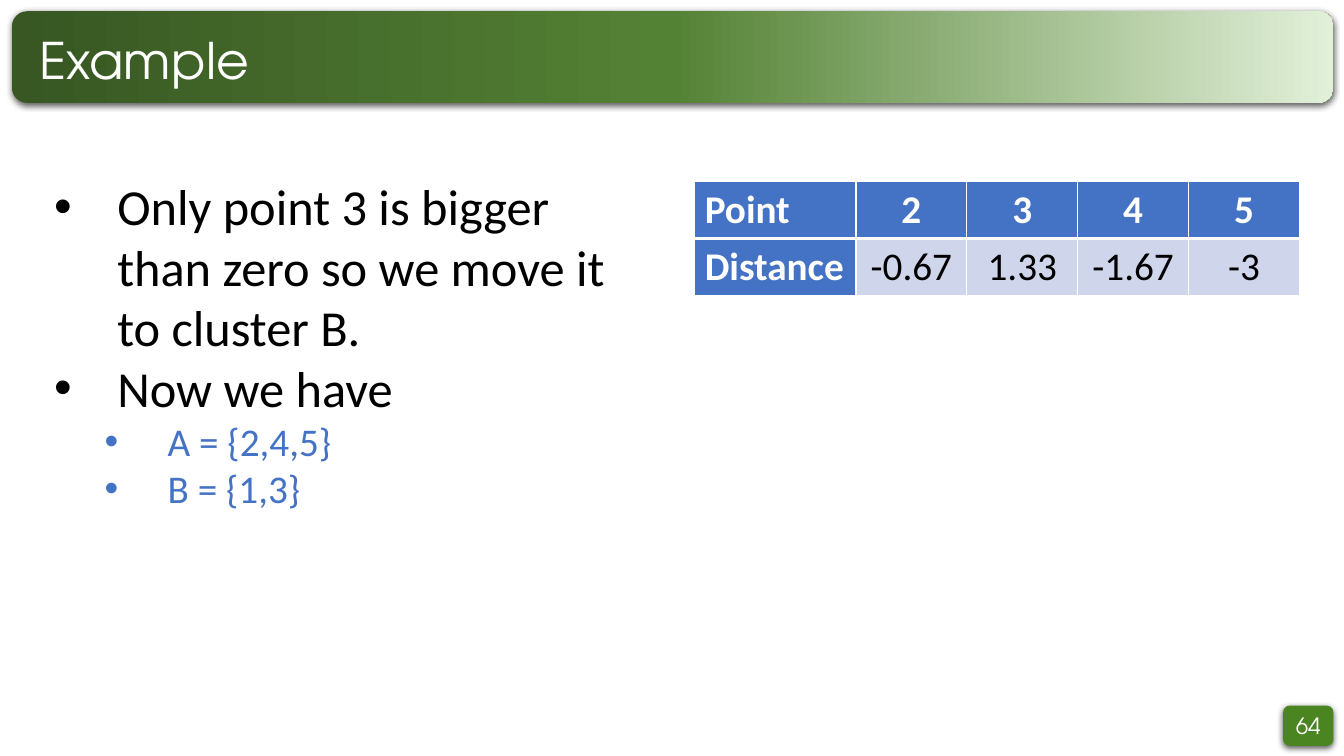
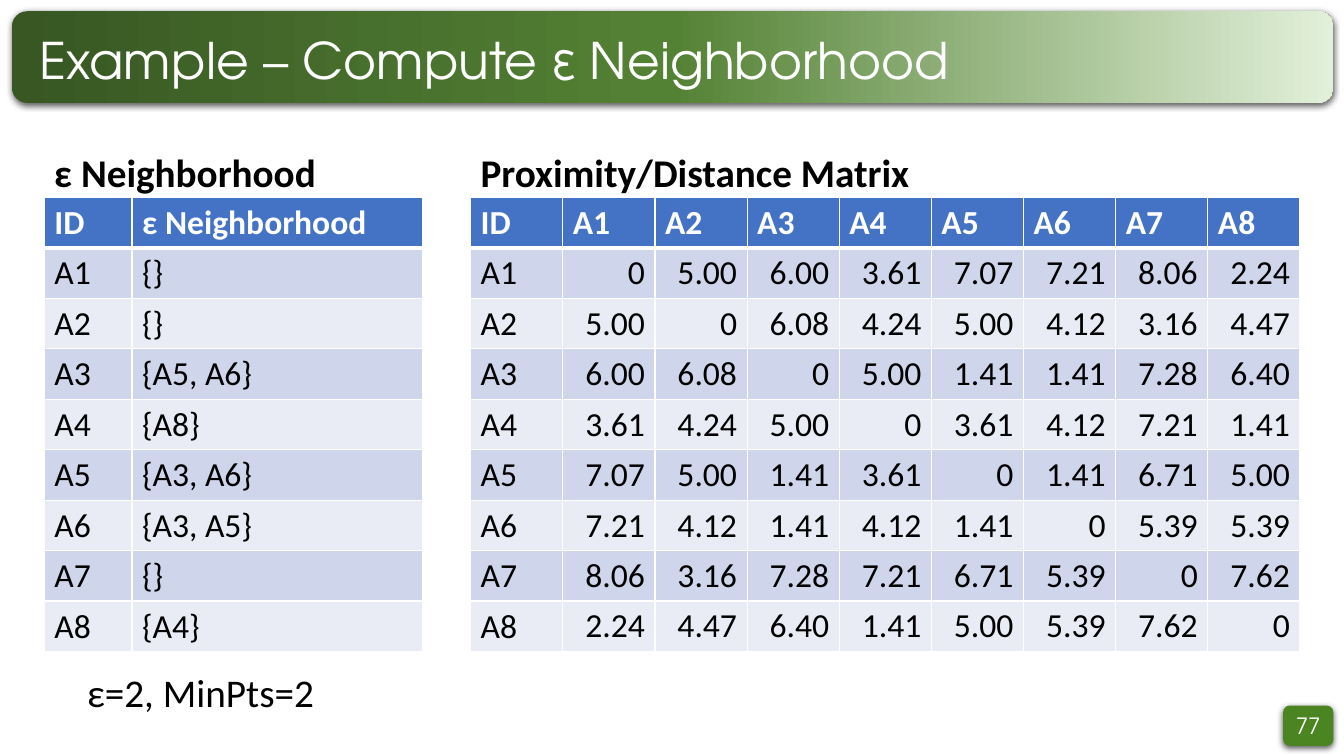
from copy import deepcopy

from lxml import etree
from pptx import Presentation
from pptx.dml.color import RGBColor
from pptx.enum import shapes, text
from pptx.oxml import parse_xml
from pptx.oxml.ns import nsdecls, qn
from pptx.util import Pt

WHITE = RGBColor(0xFF, 0xFF, 0xFF)
BLACK = RGBColor(0x00, 0x00, 0x00)
BLUE = RGBColor(0x44, 0x72, 0xC4)
STRIPES = RGBColor(0xCF, 0xD5, 0xEA), RGBColor(0xE9, 0xEB, 0xF5)
BADGE_GREEN = RGBColor(0x4A, 0x85, 0x22)
BAND_STOPS = (
    (0, RGBColor(0x38, 0x57, 0x23)),
    (0.5, RGBColor(0x54, 0x82, 0x35)),
    (1, RGBColor(0xE2, 0xF0, 0xD9)),
)
HEAD_FONT = "TeX Gyre Adventor"
BODY_FONT = "Calibri"
LEFT, CENTER, RIGHT = text.PP_ALIGN.LEFT, text.PP_ALIGN.CENTER, text.PP_ALIGN.RIGHT
SHADOW = (
    f'<a:outerShdw {nsdecls("a")} blurRad="57150" dist="19050" dir="5400000" '
    'algn="ctr" rotWithShape="0"><a:srgbClr val="000000">'
    '<a:alpha val="63000"/></a:srgbClr></a:outerShdw>'
)


def pts(values):
    return [Pt(v) for v in values]


class Deck:
    def __init__(self):
        self.prs = Presentation()
        self.prs.slide_width, self.prs.slide_height = pts((960, 540))
        self.s = None

    def new_slide(self, title, number):
        self.s = self.prs.slides.add_slide(self.prs.slide_layouts[6])
        badge = self.card(916.5, 504, 36, 28.8)
        badge.fill.solid()
        badge.fill.fore_color.rgb = BADGE_GREEN
        tf = badge.text_frame
        fmt = dict(margin_left=0, margin_right=0, margin_top=0, margin_bottom=0,
                   vertical_anchor=text.MSO_ANCHOR.MIDDLE, word_wrap=True)
        for name, value in fmt.items():
            setattr(tf, name, value)
        self.add_text(tf.paragraphs[0], str(number), 16, CENTER, color=WHITE, name=HEAD_FONT)

        band = self.card(8.5, 8, 944, 65.5)
        band.fill.gradient()
        band.fill.gradient_angle = 0
        stops = band._element.xpath(".//a:gsLst")[0]
        stops.append(deepcopy(stops[0]))
        for stop, (position, color) in zip(band.fill.gradient_stops, BAND_STOPS):
            stop.position = position
            stop.color.rgb = color

        tf = self.box(21, 21.6, 918.5, 46.8)
        tf.vertical_anchor = text.MSO_ANCHOR.MIDDLE
        p = tf.paragraphs[0]
        p.line_spacing = 0.9
        self.add_text(p, title, 36, color=WHITE, name=HEAD_FONT)

    def card(self, *at):
        """Add a rounded rectangle with a soft shadow and no outline."""
        sp = self.s.shapes.add_shape(shapes.MSO_SHAPE.ROUNDED_RECTANGLE, *pts(at))
        sp.line.fill.background()
        sp.shadow.inherit = False
        sp._element.spPr.find(qn("a:effectLst")).append(parse_xml(SHADOW))
        return sp

    def box(self, *at):
        tf = self.s.shapes.add_textbox(*pts(at)).text_frame
        tf.word_wrap = True
        return tf

    def add_text(self, p, words, size, align=LEFT, color=BLACK, name=BODY_FONT, bold=False):
        p.alignment = align
        r = p.add_run()
        r.text = words
        for key, value in dict(size=Pt(size), name=name, bold=bold).items():
            setattr(r.font, key, value)
        r.font.color.rgb = color

    def label(self, at, words, **fmt):
        tf = self.box(*at)
        tf.auto_size = text.MSO_AUTO_SIZE.SHAPE_TO_FIT_TEXT
        self.add_text(tf.paragraphs[0], words, 28, **fmt)

    def bullets(self, at, items):
        """Add a bulleted list from (level, words) pairs."""
        tf = self.box(*at)
        tf.auto_size = text.MSO_AUTO_SIZE.SHAPE_TO_FIT_TEXT
        for i, (level, words) in enumerate(items):
            p = tf.add_paragraph() if i else tf.paragraphs[0]
            p.level = level
            pPr = p._p.get_or_add_pPr()
            pPr.set("marL", str(Pt(45 + 36 * level)))
            pPr.set("indent", str(Pt(-45)))
            etree.SubElement(pPr, qn("a:buFont")).set("typeface", "Arial")
            etree.SubElement(pPr, qn("a:buChar")).set("char", "•")
            self.add_text(p, words, (36, 28)[level], color=(BLACK, BLUE)[level])

    def border(self, cell, row):
        """Outline a cell in white, with a thick rule under the header row."""
        tcPr = cell._tc.get_or_add_tcPr()
        thick_sides = {0: "B", 1: "T"}
        for side in "LRTB":
            width = 3 if thick_sides.get(row) == side else 1
            ln = etree.SubElement(tcPr, qn(f"a:ln{side}"), w=str(Pt(width)))
            fill = etree.SubElement(ln, qn("a:solidFill"))
            etree.SubElement(fill, qn("a:srgbClr"), val=str(WHITE))

    def table(self, left, top, widths, row_height, rows, size,
              head_align=LEFT, body_align=LEFT, head_column=False):
        at = pts((left, top, sum(widths), row_height * len(rows)))
        tbl = self.s.shapes.add_table(len(rows), len(widths), *at).table
        tbl.first_col = head_column
        for column, width in zip(tbl.columns, widths):
            column.width = Pt(width)
        for i, row in enumerate(rows):
            tbl.rows[i].height = Pt(row_height)
            for j, words in enumerate(row):
                cell = tbl.cell(i, j)
                head = i == 0 or (head_column and j == 0)
                align = LEFT if j == 0 else body_align if i else head_align
                self.border(cell, i)
                cell.fill.solid()
                cell.fill.fore_color.rgb = BLUE if head else STRIPES[(i - 1) % 2]
                if align == RIGHT:
                    cell.vertical_anchor = text.MSO_ANCHOR.BOTTOM
                self.add_text(cell.text_frame.paragraphs[0], words, size, align,
                              color=WHITE if head else BLACK, bold=head)


def distance_rows(ids):
    """Mirror the lower triangle of distances into a full table."""
    lower = (
        (),
        (5,),
        (6, 6.08),
        (3.61, 4.24, 5),
        (7.07, 5, 1.41, 3.61),
        (7.21, 4.12, 1.41, 4.12, 1.41),
        (8.06, 3.16, 7.28, 7.21, 6.71, 5.39),
        (2.24, 4.47, 6.4, 1.41, 5, 5.39, 7.62),
    )
    rows = [["ID", *ids]]
    for i, name in enumerate(ids):
        rows.append([name] + [
            "0" if i == j else f"{lower[max(i, j)][min(i, j)]:.2f}"
            for j in range(len(ids))
        ])
    return rows


def main():
    deck = Deck()

    deck.new_slide("Example", 64)
    deck.table(496.2, 129.6, [115.2] + [79.2] * 4, 40.7,
               [("Point", "2", "3", "4", "5"),
                ("Distance", "-0.67", "1.33", "-1.67", "-3")],
               28, head_align=CENTER, body_align=CENTER, head_column=True)
    deck.bullets((31.7, 121.7, 439.2, 249.8), [
        (0, "Only point 3 is bigger than zero so we move it to cluster B."),
        (0, "Now we have"),
        (1, "A = {2,4,5}"),
        (1, "B = {1,3}"),
    ])

    deck.new_slide("Example – Compute ε Neighborhood", 77)
    ids = [f"A{i}" for i in range(1, 9)]
    neighbors = ("{}", "{}", "{A5, A6}", "{A8}", "{A3, A6}", "{A3, A5}", "{}", "{A4}")
    left, matrix_left, label_top, table_top = 31.7, 336.2, 102.2, 141.1
    deck.table(left, table_top, [62.6, 207.4], 36,
               [("ID", "ε Neighborhood"), *zip(ids, neighbors)], 24)
    deck.label((left, 473.8, 223.2, 41), "ε=2, MinPts=2", align=CENTER)
    deck.label((left, label_top, 223.2, 41), "ε Neighborhood", bold=True)
    deck.table(matrix_left, table_top, [65.84] * 9, 36, distance_rows(ids), 24,
               body_align=RIGHT)
    deck.label((matrix_left, label_top, 592.6, 41), "Proximity/Distance Matrix", bold=True)

    deck.prs.save("out.pptx")


if __name__ == "__main__":
    main()
